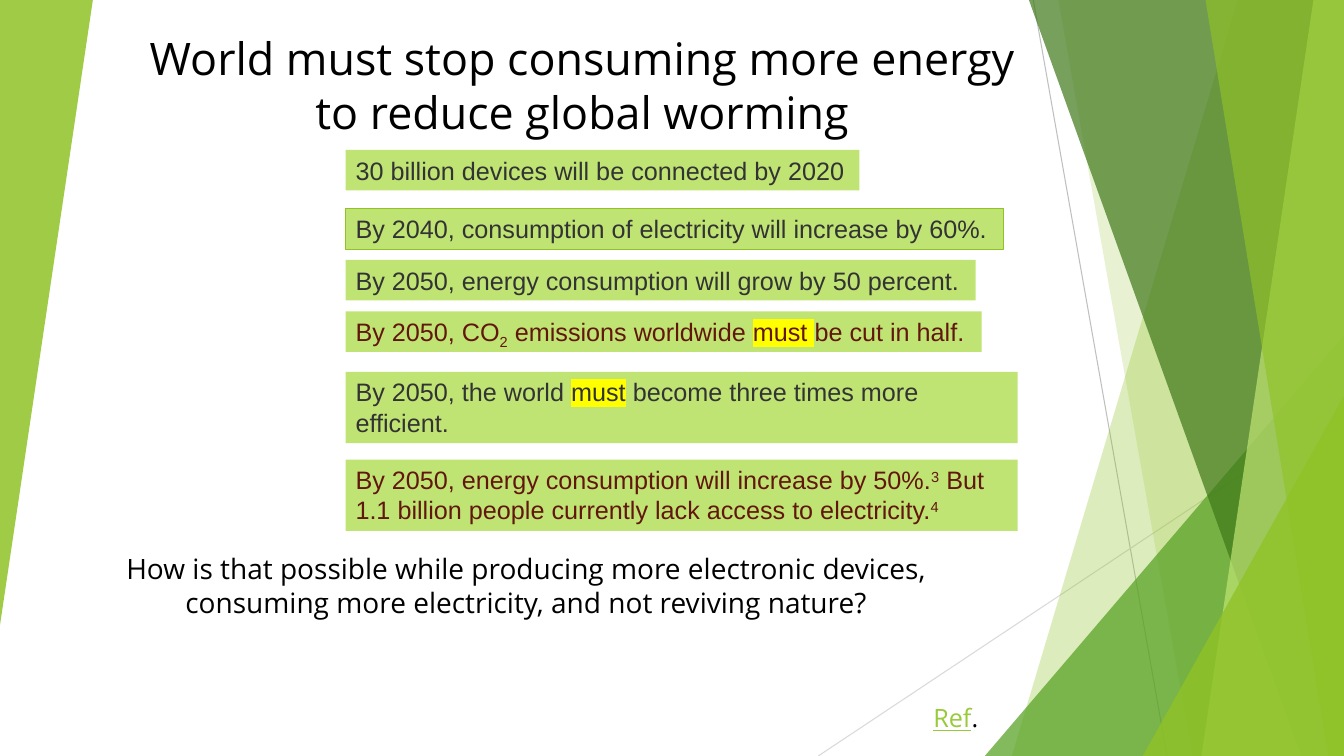
from lxml import etree
from pptx import Presentation, util as u
from pptx.dml.color import RGBColor
from pptx.enum import shapes, text
from pptx.oxml.ns import qn

WIDTH, HEIGHT = 33.87, 19.05
COLORS = {
    "lime": "90C226", "pale": "C0E474", "green": "54A021", "forest": "3F7819",
    "silver": "BFBFBF", "mist": "D9D9D9", "yellow": "FFFF00", "link": "99CA3C",
    "gray": "333333", "maroon": "62170D", "black": "000000",
}


class SlideBuilder:
    def __init__(self, page):
        self.page = page
        self.heading_font = "Open Sans"
        self.fact_font = "Arial"

    def color(self, name):
        return RGBColor.from_string(COLORS[name])

    def paint(self, shape, name, opacity=100):
        shape.shadow.inherit = False
        shape.line.fill.background()
        shape.fill.solid()
        shape.fill.fore_color.rgb = self.color(name)
        if opacity < 100:
            tint = shape._element.spPr.find(qn("a:solidFill"))[0]
            etree.SubElement(tint, qn("a:alpha"), val=str(opacity * 1000))

    def line(self, start, end, name):
        ends = [u.Cm(value) for value in (*start, *end)]
        line = self.page.shapes.add_connector(shapes.MSO_CONNECTOR.STRAIGHT, *ends)
        line.line.color.rgb = self.color(name)
        line.line.width = u.Pt(0.75)
        etree.SubElement(line._element.spPr, qn("a:effectLst"))

    def band(self, top_x, bottom_x, name, opacity):
        outline = self.page.shapes.build_freeform(u.Cm(top_x), 0)
        corners = [(WIDTH, 0), (WIDTH, HEIGHT), (bottom_x, HEIGHT)]
        outline.add_line_segments([(u.Cm(x), u.Cm(y)) for x, y in corners])
        self.paint(outline.convert_to_shape(), name, opacity)

    def triangle(self, left, top, width, height, name, opacity, rotation=0):
        frame = [u.Cm(value) for value in (left, top, width, height)]
        triangle = self.page.shapes.add_shape(
            shapes.MSO_SHAPE.ISOSCELES_TRIANGLE, *frame)
        triangle.adjustments[0] = 1
        triangle.rotation = rotation
        self.paint(triangle, name, opacity)

    def corner(self, left, top, name, opacity):
        self.triangle(left, top, WIDTH - left, HEIGHT - top, name, opacity)

    def set_text(self, box, spans, font, size, name, align, wrap=True):
        frame = box.text_frame
        frame.word_wrap = wrap
        frame.auto_size = text.MSO_AUTO_SIZE.SHAPE_TO_FIT_TEXT
        frame.vertical_anchor = text.MSO_ANCHOR.TOP
        para = frame.paragraphs[0]
        para.alignment = align
        para.font.name = font
        para.font.size = u.Pt(size)
        para.font.color.rgb = self.color(name)
        for words, style in spans:
            span = para.add_run()
            span.text = words
            if style == "link":
                span.font.underline = True
                span.font.color.rgb = self.color("link")
            elif style == "marked":
                mark = etree.SubElement(span.font._element, qn("a:highlight"))
                etree.SubElement(mark, qn("a:srgbClr"), val=COLORS["yellow"])
            elif style:
                shift = {"sub": "-25000", "super": "30000"}[style]
                span.font._element.set("baseline", shift)

    def fact(self, top, width, spans, name="gray", rows=1, outlined=False):
        height = 1.02 if rows == 1 else 1.8
        frame = [u.Cm(value) for value in (8.71, top, width, height)]
        box = self.page.shapes.add_shape(shapes.MSO_SHAPE.RECTANGLE, *frame)
        self.paint(box, "pale")
        if outlined:
            box.line.color.rgb = self.color("lime")
            box.line.width = u.Pt(0.75)
        self.set_text(box, spans, self.fact_font, 18, name,
                      text.PP_ALIGN.LEFT, wrap=rows > 1)

    def label(self, left, top, width, height, spans, size,
              align=text.PP_ALIGN.CENTER):
        frame = [u.Cm(value) for value in (left, top, width, height)]
        box = self.page.shapes.add_textbox(*frame)
        self.set_text(box, spans, self.heading_font, size, "black", align)


def main():
    deck = Presentation()
    deck.slide_width, deck.slide_height = u.Cm(WIDTH), u.Cm(HEIGHT)
    slide = SlideBuilder(deck.slides.add_slide(deck.slide_layouts[6]))

    slide.line((26.04, 0), (29.41, HEIGHT), "silver")
    slide.line((WIDTH, 10.24), (20.62, HEIGHT), "mist")
    slide.band(31.19, 25.5, "lime", 30)
    slide.band(26.67, 30.05, "lime", 20)
    slide.corner(24.82, 8.46, "green", 72)
    slide.band(25.93, 32.79, "forest", 70)
    slide.band(33.1, 30.28, "pale", 70)
    slide.band(30.38, 33.48, "lime", 65)
    slide.corner(28.8, 9.98, "lime", 80)
    slide.triangle(0, 0, 2.34, 15.75, "lime", 85, rotation=180)

    slide.fact(3.78, 12.95, [("30 billion devices will be connected by 2020", None)])
    slide.fact(5.26, 16.59, [
        ("By 2040, consumption of electricity will increase by 60%.", None)],
        outlined=True)
    slide.fact(6.55, 15.88, [
        ("By 2050, energy consumption will grow by 50 percent.", None)])
    slide.fact(7.85, 16.03, [
        ("By 2050, CO", None), ("2", "sub"), (" emissions worldwide ", None),
        ("must ", "marked"), ("be cut in half.", None)], "maroon")
    slide.fact(9.37, 16.94, [
        ("By 2050, the world ", None), ("must", "marked"),
        (" become three times more efficient.", None)], rows=2)
    slide.fact(11.58, 16.94, [
        ("By 2050, energy consumption will increase by 50%.", None), ("3", "super"),
        (" But 1.1 billion people currently lack access to electricity.", None),
        ("4", "super")], "maroon", rows=2)

    slide.label(23.27, 17.58, 2.64, 1.02, [("Ref", "link"), (".", None)], 18,
                text.PP_ALIGN.LEFT)
    slide.label(3.2, 0.66, 22.96, 3, [
        ("World must stop consuming more energy to reduce global worming", None)], 32)
    slide.label(1.78, 13.77, 22.96, 1.96, [
        ("How is that possible while producing more electronic devices, "
         "consuming more electricity, and not reviving nature?", None)], 20)

    deck.save("out.pptx")


if __name__ == "__main__":
    main()
